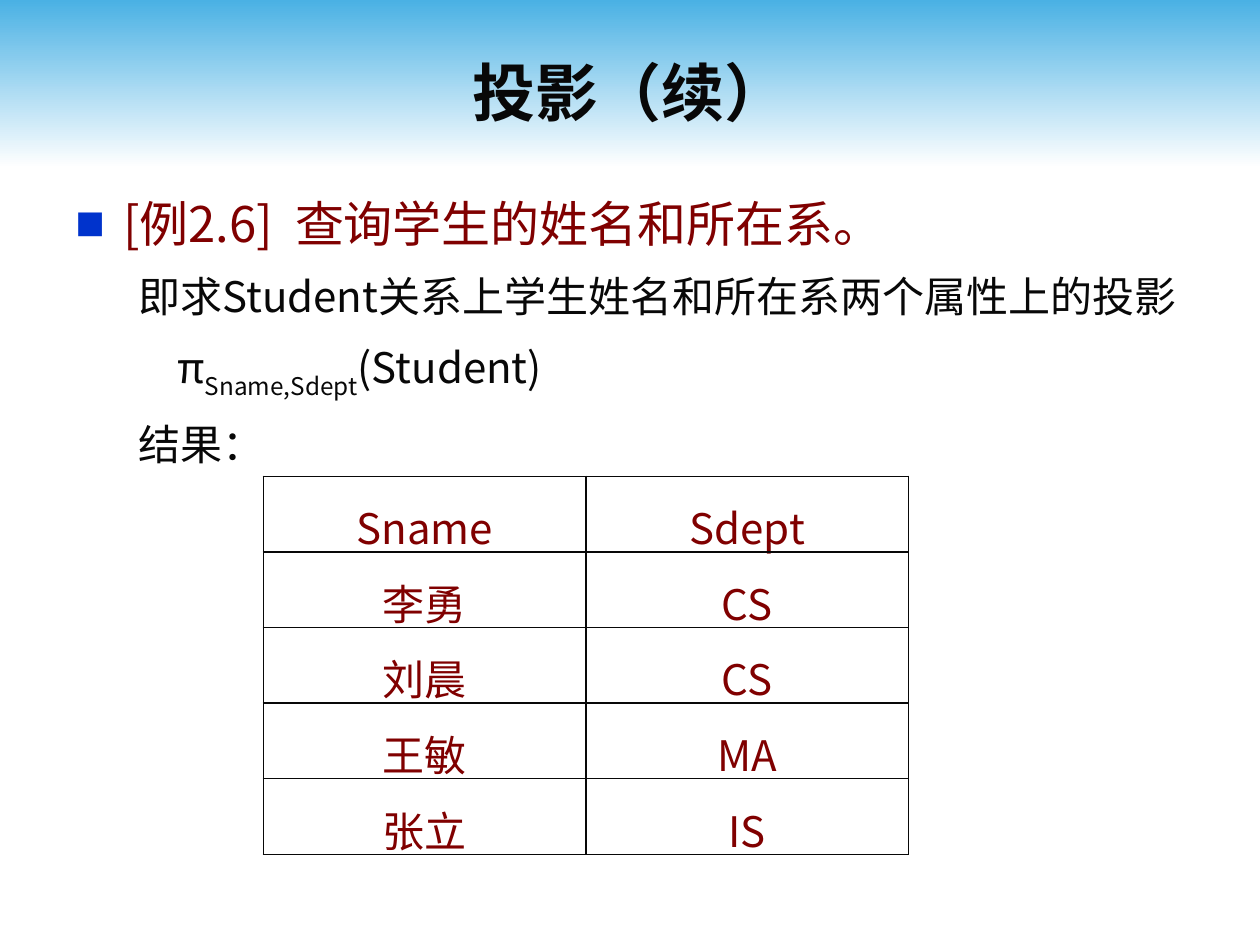
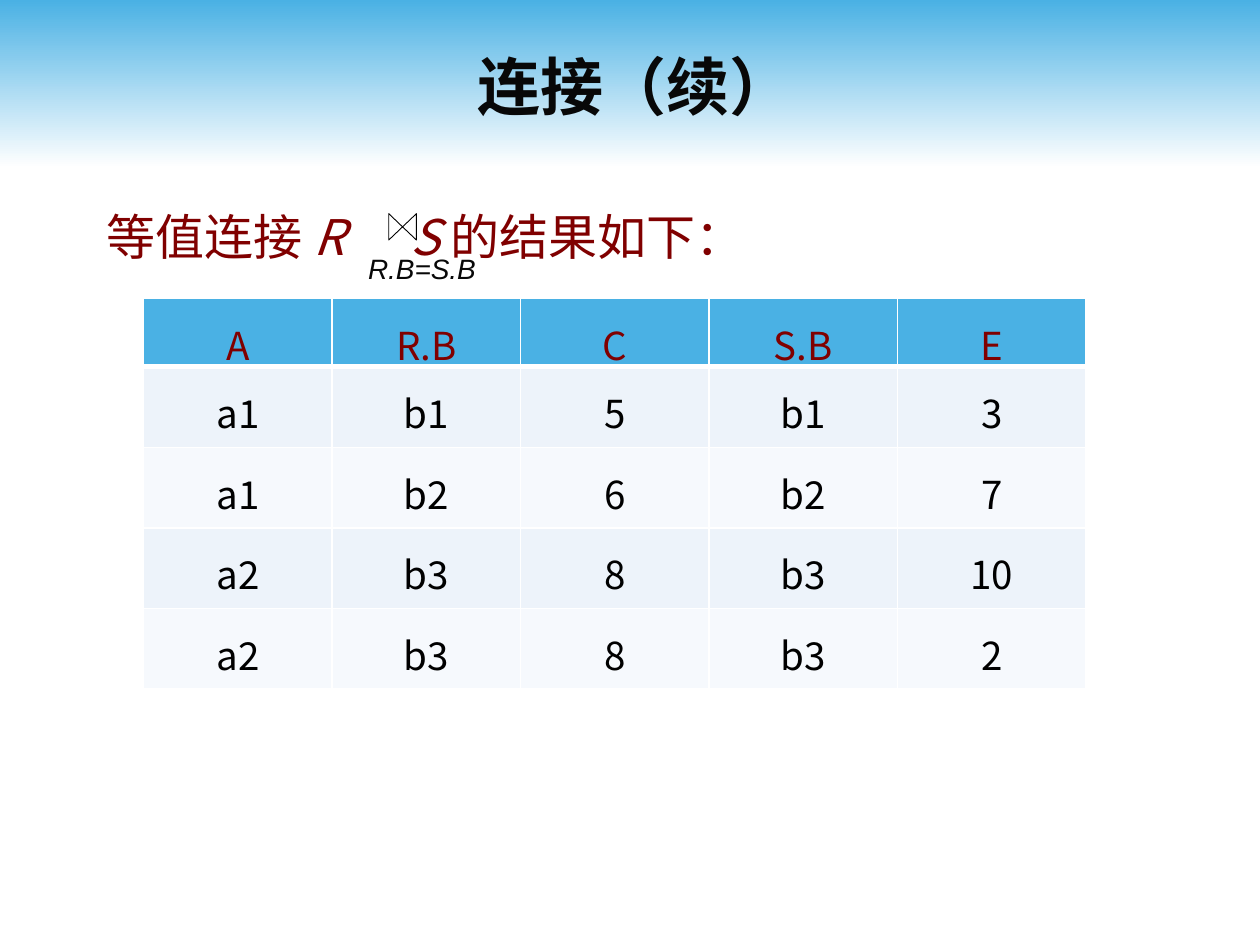
from lxml import etree
from pptx import Presentation
from pptx.dml.color import RGBColor
from pptx.enum import shapes, text
from pptx.oxml import ns
from pptx.util import Inches, Pt

COLORS = {
    "band": "4AB1E4", "white": "FFFFFF", "ink": "080808", "black": "000000",
    "maroon": "800000", "bullet": "0033CC", "odd": "EDF3FA", "even": "F6F9FD",
}
FONT = "Noto Sans CJK SC"
CENTER, JUSTIFY = text.PP_ALIGN.CENTER, text.PP_ALIGN.JUSTIFY


def rgb(name):
    """Return the named palette colour."""
    return RGBColor.from_string(COLORS[name])


def sub(parent, tag, **attrs):
    """Append a DrawingML child element."""
    return etree.SubElement(parent, ns.qn("a:" + tag), attrs)


def add_run(p, content, size, color, font=FONT, bold=False, italic=False,
            baseline=0, spacing=0):
    """Add one formatted run; spacing is extra width per letter in points."""
    r = p.add_run()
    r.text = content
    f = r.font
    f.size, f.bold, f.italic, f.name = Pt(size), bold, italic, font
    f.color.rgb = rgb(color)
    rpr = r._r.get_or_add_rPr()
    sub(rpr, "ea", typeface=font)
    if baseline:
        rpr.set("baseline", str(baseline * 1000))
    if spacing:
        rpr.set("spc", str(int(spacing * 100)))


def add_box(slide, left, top, width, height, anchor=text.MSO_ANCHOR.TOP, wrap=True):
    """Add an empty text box and return its text frame."""
    tf = slide.shapes.add_textbox(*map(Inches, (left, top, width, height))).text_frame
    tf.word_wrap = wrap
    tf.vertical_anchor = anchor
    return tf


def add_body_paragraph(tf, runs, size, color, left, indent=0, bullet=None):
    """Add a justified paragraph made of (text, format) runs."""
    first = not tf.paragraphs[0].runs
    p = tf.paragraphs[0] if first else tf.add_paragraph()
    p.alignment, p.line_spacing = JUSTIFY, 1.2
    p.space_before = Pt(0 if first else size * 0.2)
    ppr = p._p.get_or_add_pPr()
    ppr.set("marL", str(Inches(left)))
    ppr.set("indent", str(Inches(indent)))
    if bullet:
        sub(sub(ppr, "buClr"), "srgbClr", val=COLORS["bullet"])
        sub(ppr, "buFont", typeface="Arial")
        sub(ppr, "buChar", char=bullet)
    for content, fmt in runs:
        add_run(p, content, size, color, **fmt)


def add_titled_slide(prs, title, left, top, width, height):
    """Add a blank slide with the gradient band and a centred title."""
    slide = prs.slides.add_slide(prs.slide_layouts[6])
    sp = slide.shapes.add_shape(shapes.MSO_SHAPE.RECTANGLE, 0, 0,
                                prs.slide_width, Inches(1.33))
    sp.shadow.inherit = False
    sp.line.fill.background()
    sp.fill.gradient()
    sp.fill.gradient_angle = 270
    for stop, position, name in zip(sp.fill.gradient_stops, (0, 1), ("band", "white")):
        stop.position = position
        stop.color.rgb = rgb(name)
    p = add_box(slide, left, top, width, height, text.MSO_ANCHOR.MIDDLE).paragraphs[0]
    p.alignment = CENTER
    add_run(p, title, 36, "ink", bold=True)
    return slide


def set_borders(cell, color, top=1, bottom=1):
    """Draw the four borders of a cell, widths in points."""
    tcpr = cell._tc.get_or_add_tcPr()
    for i, (side, width) in enumerate(zip("LRTB", (1, 1, top, bottom))):
        ln = sub(tcpr, "ln" + side, w=str(Pt(width)))
        sub(sub(ln, "solidFill"), "srgbClr", val=COLORS[color])
        tcpr.insert(i, ln)


def add_grid(slide, rows, left, top, width, heights, size, margin, border,
             fills=None, body_color="maroon", header_rule=1):
    """Add a centred table with equal columns and a maroon header."""
    table = slide.shapes.add_table(len(rows), len(rows[0]), Inches(left), Inches(top),
                                   Inches(width), Inches(sum(heights))).table
    table.first_row = table.horz_banding = False
    for i, (values, height) in enumerate(zip(rows, heights)):
        table.rows[i].height = Inches(height)
        for j, value in enumerate(values):
            cell = table.cell(i, j)
            cell.margin_top = cell.margin_bottom = Inches(margin)
            if fills:
                cell.fill.solid()
                cell.fill.fore_color.rgb = rgb(fills[i])
            else:
                cell.fill.background()
            set_borders(cell, border, header_rule if i == 1 else 1,
                        header_rule if i == 0 else 1)
            p = cell.text_frame.paragraphs[0]
            p.alignment, p.line_spacing = CENTER, 1.2
            add_run(p, value, size, body_color if i else "maroon")


def add_join_symbol(slide):
    """Draw the bowtie join sign with its condition underneath."""
    tf = add_box(slide, 2.81, 1.82, 1.08, 0.67, text.MSO_ANCHOR.MIDDLE, wrap=False)
    p = tf.paragraphs[0]
    p.alignment, p.line_spacing = CENTER, 0.8
    add_run(p, "R.B=S.B", 16, "ink", font="Arial", italic=True)
    sp = slide.shapes.add_shape(shapes.MSO_SHAPE.FLOWCHART_COLLATE, Inches(3.09),
                                Inches(1.69), Inches(0.21), Inches(0.22))
    sp.rotation = 270
    sp.shadow.inherit = False
    sp.fill.solid()
    sp.fill.fore_color.rgb = rgb("white")
    sp.line.color.rgb = rgb("black")
    sp.line.width = Pt(0.5)


def build_projection(prs):
    """Build the projection example slide."""
    slide = add_titled_slide(prs, "投影（续）", 0.5, 0.25, 9, 0.95)
    tf = add_box(slide, 0.5, 1.39, 9, 2.22)
    add_body_paragraph(tf, [("[例2.6]", {}), (" ", {"spacing": 6.3}),
                            ("查询学生的姓名和所在系。", {})],
                       28, "maroon", 0.38, -0.38, "■")
    add_body_paragraph(tf, [("即求Student关系上学生姓名和所在系两个属性上的投影", {})],
                       24, "ink", 0.81, -0.31)
    add_body_paragraph(tf, [("π", {}), ("Sname,Sdept", {"baseline": -30}),
                            ("(Student)", {})], 24, "ink", 0.81)
    add_body_paragraph(tf, [("结果：", {})], 24, "ink", 0.81, -0.31)
    rows = [("Sname", "Sdept"), ("李勇", "CS"), ("刘晨", "CS"), ("王敏", "MA"), ("张立", "IS")]
    add_grid(slide, rows, 2.09, 3.78, 5.12, [0.54] * 5, 24, 0.06, "ink")


def build_join(prs):
    """Build the equijoin result slide."""
    slide = add_titled_slide(prs, "连接（续）", 1, 0.44, 8.08, 0.47)
    tf = add_box(slide, 0.5, 1.5, 8.91, 0.91)
    italic = {"italic": True}
    add_body_paragraph(tf, [("等值连接 ", {}), ("R", italic),
                            (" ", {"italic": True, "spacing": 31.4}),
                            ("S ", italic), ("的结果如下：", {})], 28, "maroon", 0.25)
    add_join_symbol(slide)
    rows = [("A", "R.B", "C", "S.B", "E"),
            ("a1", "b1", "5", "b1", "3"),
            ("a1", "b2", "6", "b2", "7"),
            ("a2", "b3", "8", "b3", "10"),
            ("a2", "b3", "8", "b3", "2")]
    add_grid(slide, rows, 1.14, 2.37, 7.48, [0.49] + [0.64] * 4, 22, 0.05, "white",
             ["band"] + ["odd", "even"] * 2, "black", 3)


def main():
    """Build and save the presentation."""
    prs = Presentation()
    prs.slide_width, prs.slide_height = Inches(10), Inches(7.5)
    build_projection(prs)
    build_join(prs)
    prs.save("out.pptx")


if __name__ == "__main__":
    main()
